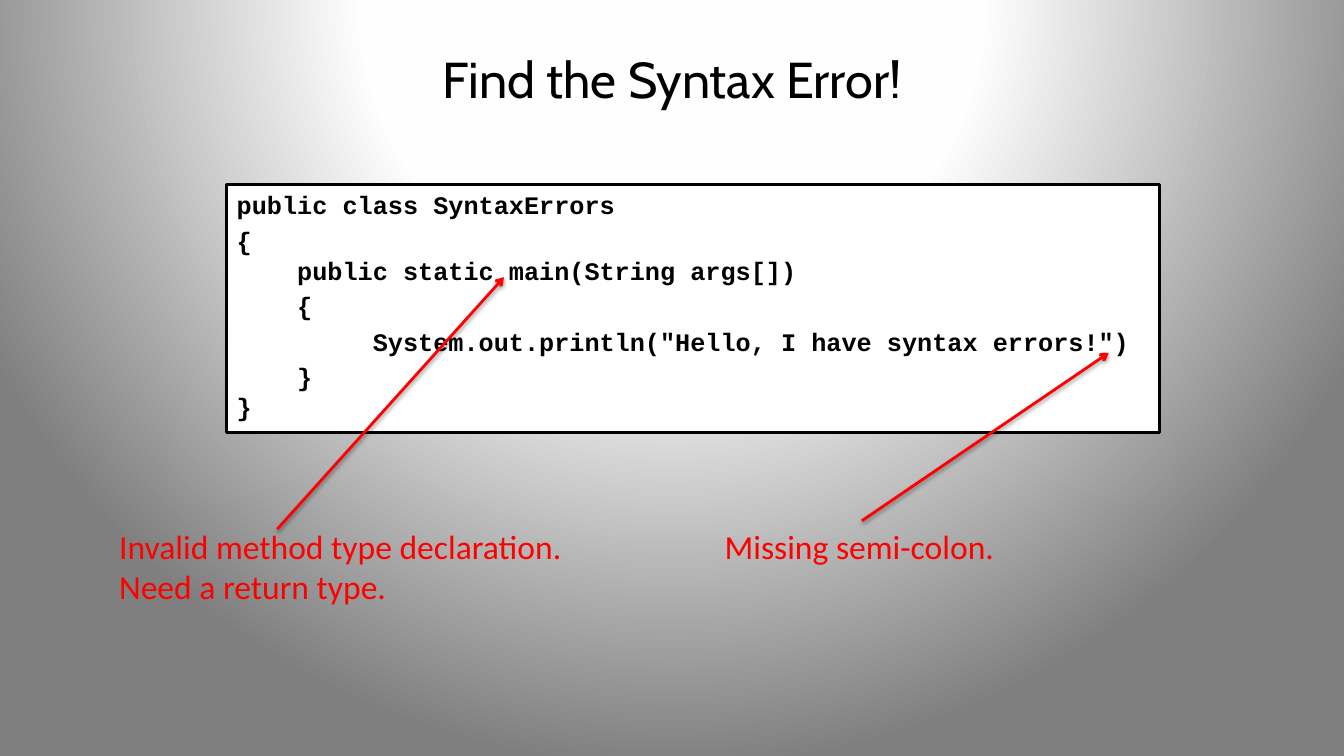
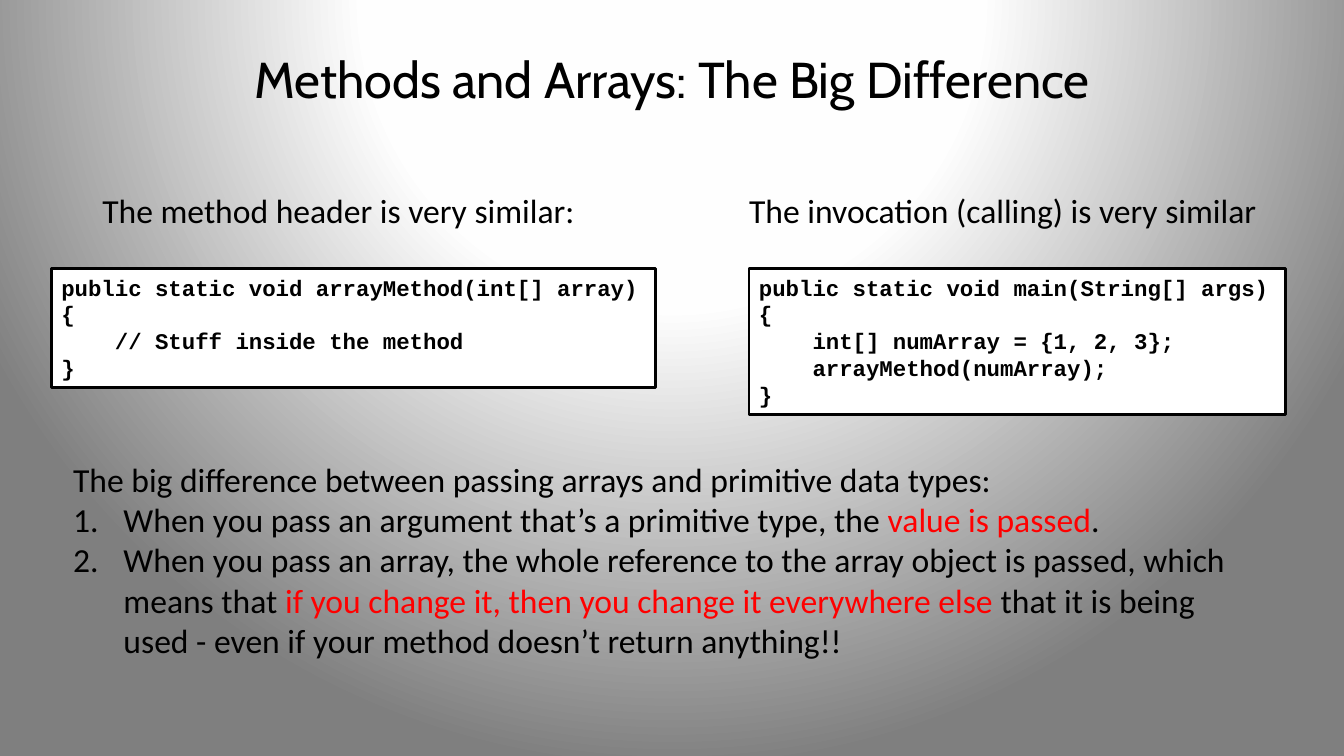
from dataclasses import dataclass

from lxml import etree
from pptx import Presentation
from pptx.dml.color import RGBColor
from pptx.enum.shapes import MSO_CONNECTOR, MSO_SHAPE
from pptx.enum.text import MSO_ANCHOR, MSO_AUTO_SIZE, PP_ALIGN
from pptx.oxml import parse_xml
from pptx.oxml.ns import nsdecls, qn
from pptx.util import Pt


@dataclass(frozen=True)
class Theme:
    ink: RGBColor = RGBColor(0, 0, 0)
    accent: RGBColor = RGBColor(255, 0, 0)
    paper: RGBColor = RGBColor(255, 255, 255)
    title_font: str = "Cabin"
    body_font: str = "Calibri"
    code_font: str = "Courier New"
    title_size: float = 36
    body_size: float = 24
    code_size: float = 18
    small_code_size: float = 16
    line_width: float = 2
    backdrop: tuple = ((0, "FFFFFF"), (40, "FEFEFE"), (100, "7F7F7F"))


THEME = Theme()
TITLE_ONLY, TITLE_AND_BODY = 5, 1


def place(shape, left, top, width, height):
    shape.left, shape.top = Pt(left), Pt(top)
    shape.width, shape.height = Pt(width), Pt(height)


def style_master(master):
    """Give every slide the same backdrop and title position."""
    stops = "".join(
        f'<a:gs pos="{percent * 1000}"><a:srgbClr val="{color}"/></a:gs>'
        for percent, color in THEME.backdrop
    )
    gradient = parse_xml(
        f'<a:gradFill {nsdecls("a")} rotWithShape="1"><a:gsLst>{stops}</a:gsLst>'
        '<a:path path="circle"><a:fillToRect l="50000" t="-80000" r="50000" b="180000"/>'
        "</a:path></a:gradFill>"
    )
    master.background.fill.solid()
    solid = master.element.find(f".//{qn('p:bgPr')}/{qn('a:solidFill')}")
    solid.getparent().replace(solid, gradient)
    for placeholder in master.placeholders:
        if placeholder.placeholder_format.idx == 0:
            place(placeholder, 48, 21.6, 864, 68.4)


def add_run(paragraph, text, font, size, color, bold=False):
    run = paragraph.add_run()
    run.text = text
    run.font.name, run.font.size = font, Pt(size)
    run.font.color.rgb, run.font.bold = color, bold


def paragraphs_for(frame, items):
    """Pair each item with a paragraph, using the frame's first one first."""
    for index, item in enumerate(items):
        yield (frame.add_paragraph() if index else frame.paragraphs[0]), item


def add_titled_slide(deck, layout, title):
    slide = deck.slides.add_slide(deck.slide_layouts[layout])
    frame = slide.shapes.title.text_frame
    frame.vertical_anchor = MSO_ANCHOR.MIDDLE
    paragraph = frame.paragraphs[0]
    paragraph.alignment = PP_ALIGN.CENTER
    add_run(paragraph, title, THEME.title_font, THEME.title_size, THEME.ink)
    return slide


def add_label(slide, box, lines, color):
    label = slide.shapes.add_textbox(*map(Pt, box))
    frame = label.text_frame
    frame.word_wrap = False
    frame.auto_size = MSO_AUTO_SIZE.SHAPE_TO_FIT_TEXT
    for paragraph, line in paragraphs_for(frame, lines):
        add_run(paragraph, line, THEME.body_font, THEME.body_size, color)


def add_code(slide, box, blocks, size, gap=0):
    """Draw a code panel; each block is a paragraph, gap points apart."""
    panel = slide.shapes.add_shape(MSO_SHAPE.RECTANGLE, *map(Pt, box))
    panel.shadow.inherit = False
    panel.fill.solid()
    panel.fill.fore_color.rgb = THEME.paper
    panel.line.color.rgb, panel.line.width = THEME.ink, Pt(THEME.line_width)
    frame = panel.text_frame
    frame.vertical_anchor = MSO_ANCHOR.TOP
    frame.word_wrap = True
    for paragraph, block in paragraphs_for(frame, blocks):
        paragraph.alignment = PP_ALIGN.LEFT
        if gap and block is not blocks[0]:
            paragraph.space_before = Pt(gap)
        for index, line in enumerate(block.split("\n")):
            if index:
                paragraph.add_line_break()
            add_run(paragraph, line, THEME.code_font, size, THEME.ink, bold=True)


def add_pointer(slide, start, end):
    pointer = slide.shapes.add_connector(MSO_CONNECTOR.STRAIGHT, *map(Pt, start + end))
    pointer.line.color.rgb, pointer.line.width = THEME.accent, Pt(THEME.line_width)
    outline = pointer.element.spPr.find(qn("a:ln"))
    etree.SubElement(outline, qn("a:tailEnd"), type="arrow")
    outline.addnext(parse_xml(
        f'<a:effectLst {nsdecls("a")}><a:outerShdw blurRad="{Pt(3.1)}" dist="{Pt(1.6)}" '
        'dir="5400000" rotWithShape="0"><a:srgbClr val="000000"><a:alpha val="38000"/>'
        "</a:srgbClr></a:outerShdw></a:effectLst>"
    ))


def fill_body(slide, box, intro, numbered):
    """Write an intro line and a numbered list of (text, is_key) runs."""
    body = slide.placeholders[1]
    place(body, *box)
    frame = body.text_frame
    frame.word_wrap = True
    frame.auto_size = MSO_AUTO_SIZE.NONE
    for paragraph, runs in paragraphs_for(frame, [[(intro, False)], *numbered]):
        properties = paragraph._p.get_or_add_pPr()
        is_step = runs in numbered
        hang = Pt(36) if is_step else 0
        properties.set("marL", str(hang))
        properties.set("indent", str(-hang))
        if is_step:
            etree.SubElement(properties, qn("a:buFont"), typeface="+mj-lt")
            etree.SubElement(properties, qn("a:buAutoNum"), type="arabicPeriod")
        else:
            etree.SubElement(properties, qn("a:buNone"))
        paragraph.space_before = Pt(0)
        for text, is_key in runs:
            color = THEME.accent if is_key else THEME.ink
            add_run(paragraph, text, THEME.body_font, THEME.body_size, color)


def build_syntax_slide(deck):
    slide = add_titled_slide(deck, TITLE_ONLY, "Find the Syntax Error!")
    add_code(slide, (162, 132, 666, 177), [
        "public class SyntaxErrors",
        "{\n    public static main(String args[])",
        "    {",
        '         System.out.println("Hello, I have syntax errors!")',
        "    }\n}",
    ], THEME.code_size, gap=3.6)
    add_label(slide, (78, 372, 335.5, 65.5),
              ["Invalid method type declaration.", "Need a return type."], THEME.accent)
    add_label(slide, (510.5, 372, 209, 36), ["Missing semi-colon."], THEME.accent)
    add_pointer(slide, (198, 378), (360, 198))
    add_pointer(slide, (615.6, 372), (792, 252))


def build_arrays_slide(deck):
    slide = add_titled_slide(deck, TITLE_AND_BODY, "Methods and Arrays: The Big Difference")
    label_top, code_top = 132, 192
    add_label(slide, (66, label_top, 356, 36), ["The method header is very similar:"], THEME.ink)
    add_code(slide, (36.7, code_top, 431.3, 85), [
        "public static void arrayMethod(int[] array)",
        "{",
        "    // Stuff inside the method",
        "}",
    ], THEME.small_code_size)
    add_label(slide, (528, label_top, 381.6, 36),
              ["The invocation (calling) is very similar"], THEME.ink)
    add_code(slide, (535, code_top, 383, 104.4), [
        "public static void main(String[] args)",
        "{",
        "    int[] numArray = {1, 2, 3};",
        "    arrayMethod(numArray);",
        "}",
    ], THEME.small_code_size)
    fill_body(
        slide, (45, 324, 849.6, 152.6),
        "The big difference between passing arrays and primitive data types:",
        [
            [("When you pass an argument that’s a primitive type, the ", False),
             ("value is passed", True),
             (".", False)],
            [("When you pass an array, the whole reference to the array object is passed, "
              "which means that ", False),
             ("if you change it, then you change it everywhere else", True),
             (" that it is being used - even if your method doesn’t return anything!!", False)],
        ],
    )


def main():
    deck = Presentation()
    deck.slide_width, deck.slide_height = Pt(960), Pt(540)
    style_master(deck.slide_master)
    build_syntax_slide(deck)
    build_arrays_slide(deck)
    deck.save("out.pptx")


if __name__ == "__main__":
    main()
